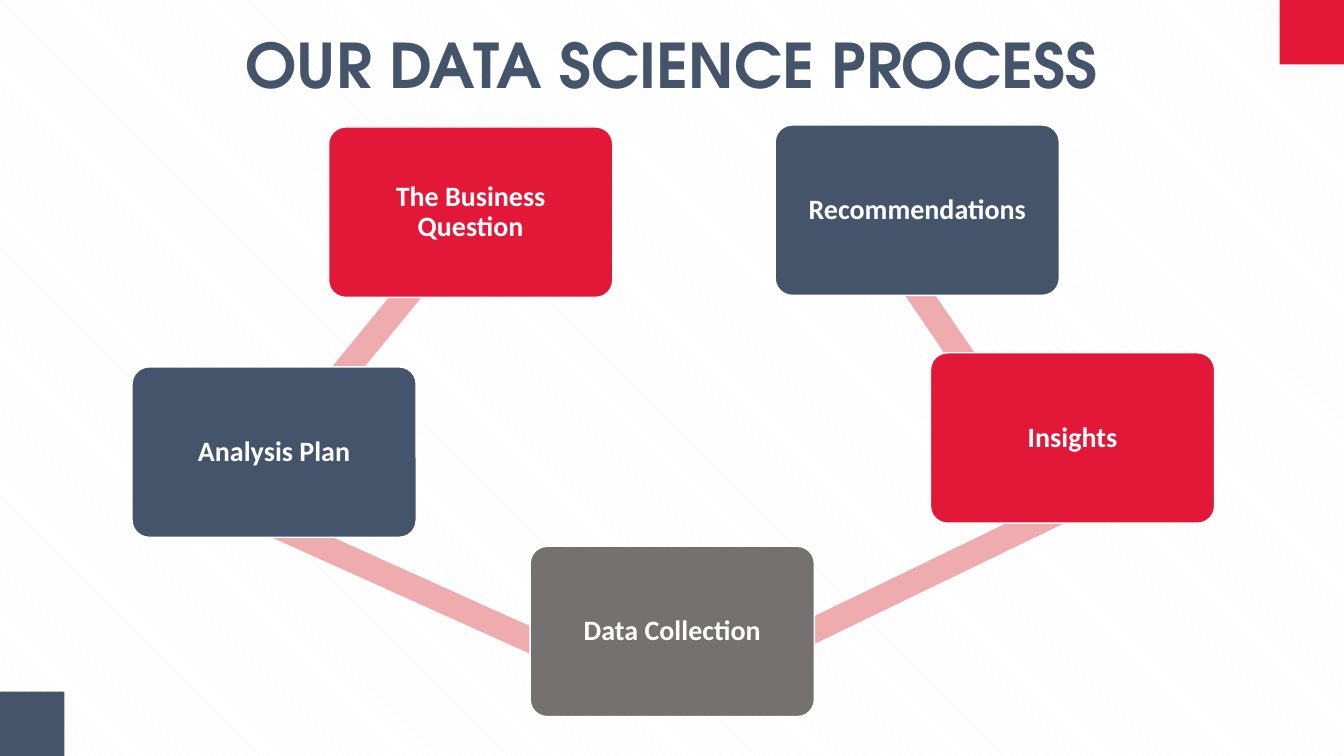
import math
from itertools import pairwise

from pptx import Presentation
from pptx.dml.color import RGBColor
from pptx.enum import dml, shapes, text
from pptx.util import Pt

COLORS = {"red": "E31737", "navy": "44546A", "gray": "767171",
          "pink": "EFACAE", "white": "FFFFFF", "stripe": "F2F2F2"}
BOX_W, BOX_H, BAR_H, CORNER = 203, 121.7, 18, 46

STEPS = [
    ("The Business Question", 234.7, 90.7, "red"),
    ("Analysis Plan", 94.3, 262.1, "navy"),
    ("Data Collection", 378.7, 390.2, "gray"),
    ("Insights", 664.6, 252, "red"),
    ("Recommendations", 553.7, 89.3, "navy"),
]
BAR_SHIFTS = [(13, -12.2), (-76.7, 17.3), (13, 41.8), (-60.5, -31)]


def rgb(name):
    """Return the named palette colour."""
    return RGBColor.from_string(COLORS[name])


class Deck:
    """Hold the style and the current slide."""

    TITLE = {"name": "TeX Gyre Adventor", "size": Pt(44), "bold": True}
    LABEL = {"name": "Calibri", "size": Pt(20), "bold": True}

    def __init__(self, width, height):
        """Start a presentation with one striped title-only slide."""
        self.prs = Presentation()
        self.prs.slide_width, self.prs.slide_height = Pt(width), Pt(height)
        self.s = self.prs.slides.add_slide(self.prs.slide_layouts[5])
        fill = self.s.background.fill
        fill.patterned()
        fill.pattern = dml.MSO_PATTERN.SHINGLE
        fill.fore_color.rgb = rgb("stripe")
        fill.back_color.rgb = rgb("white")

    def label(self, sp, words, style, color, inset, spacing):
        """Set centred text in a shape."""
        tf = sp.text_frame
        frame = {"word_wrap": True, "auto_size": text.MSO_AUTO_SIZE.NONE,
                 "vertical_anchor": text.MSO_ANCHOR.MIDDLE}
        frame |= {f"margin_{side}": Pt(inset)
                  for side in ("left", "top", "right", "bottom")}
        for key, value in frame.items():
            setattr(tf, key, value)
        p = tf.paragraphs[0]
        p.alignment, p.line_spacing = text.PP_ALIGN.CENTER, spacing
        p.space_before = Pt(0)
        r = p.add_run()
        r.text = words
        for key, value in style.items():
            setattr(r.font, key, value)
        r.font.color.rgb = rgb(color)

    def title(self, words, x, y, w, h):
        """Place and fill the title placeholder."""
        sp = self.s.shapes.title
        sp.left, sp.top, sp.width, sp.height = Pt(x), Pt(y), Pt(w), Pt(h)
        self.label(sp, words, self.TITLE, "navy", 0, 1.0)

    def block(self, x, y, w, h, color, kind=shapes.MSO_SHAPE.RECTANGLE):
        """Add a plain filled shape without an outline."""
        sp = self.s.shapes.add_shape(kind, Pt(x), Pt(y), Pt(w), Pt(h))
        sp.shadow.inherit = False
        sp.fill.solid()
        sp.fill.fore_color.rgb = rgb(color)
        sp.line.fill.background()
        return sp

    def bar(self, start, end, shift):
        """Add a bar parallel to the line between two box centres."""
        (x1, y1), (x2, y2) = start, end
        length = math.dist(start, end)
        cx, cy = (x1 + x2) / 2 + shift[0], (y1 + y2) / 2 + shift[1]
        sp = self.block(cx - length / 2, cy - BAR_H / 2, length, BAR_H, "pink")
        sp.rotation = math.degrees(math.atan2(y2 - y1, x2 - x1)) % 360

    def step(self, words, x, y, color):
        """Add a labelled rounded box."""
        sp = self.block(x, y, BOX_W, BOX_H, color,
                        shapes.MSO_SHAPE.ROUNDED_RECTANGLE)
        sp.adjustments[0] = 0.1
        sp.line.color.rgb = rgb("white")
        sp.line.width = Pt(1)
        self.label(sp, words, self.LABEL, "white", 9.5, 0.9)


def main():
    """Build the process slide."""
    width, height = 960, 540
    deck = Deck(width, height)
    deck.block(width - CORNER, 0, CORNER, CORNER, "red")
    deck.block(0, height - CORNER, CORNER, CORNER, "navy")
    deck.title("OUR DATA SCIENCE PROCESS", 115.2, 18.7, 729.4, 53.3)
    centres = [(x + BOX_W / 2, y + BOX_H / 2) for _, x, y, _ in STEPS]
    for (start, end), shift in zip(pairwise(centres), BAR_SHIFTS):
        deck.bar(start, end, shift)
    for step in STEPS:
        deck.step(*step)
    deck.prs.save("out.pptx")


if __name__ == "__main__":
    main()
